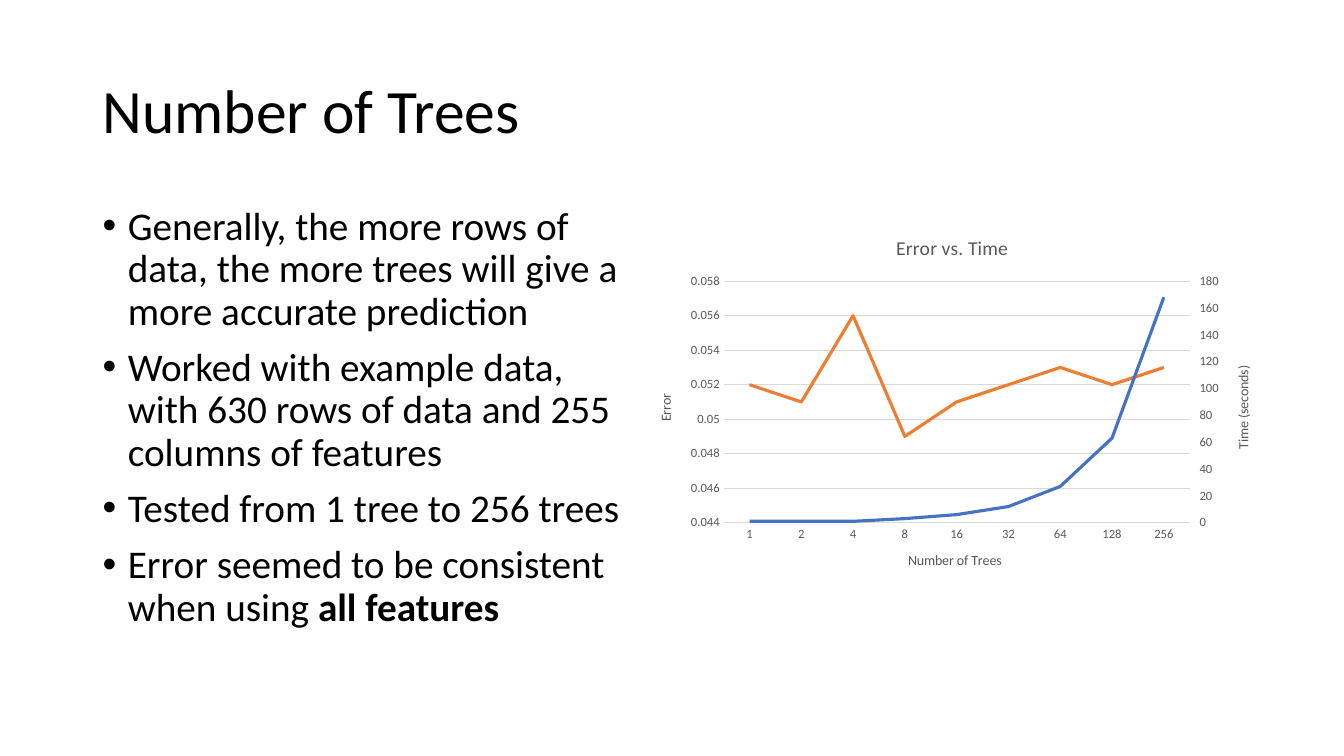
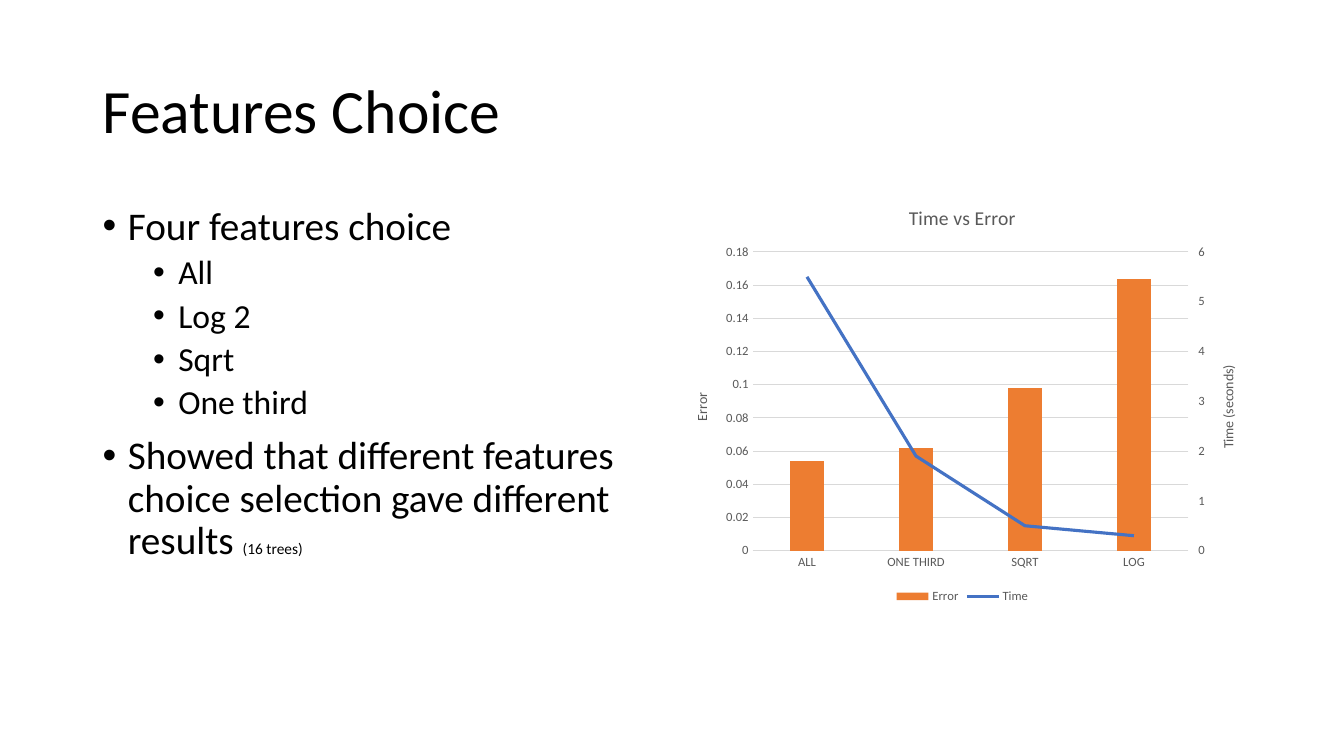
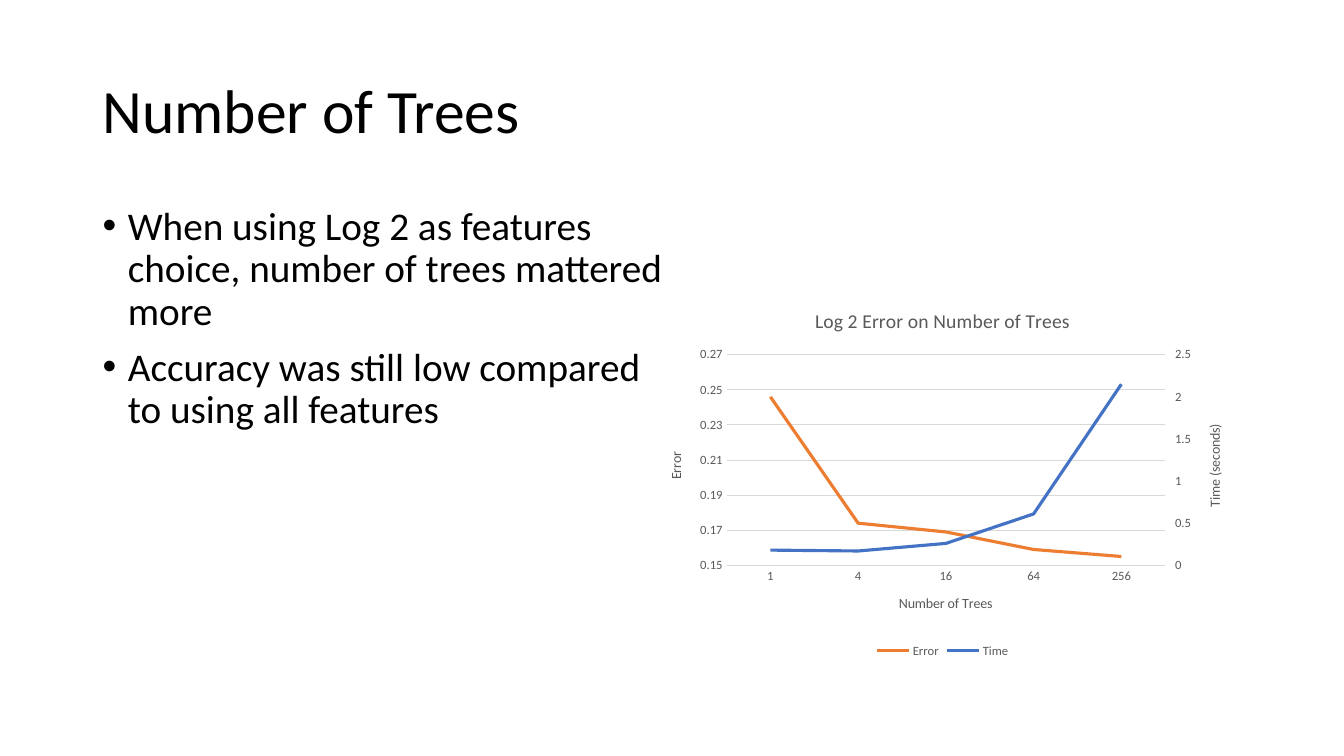
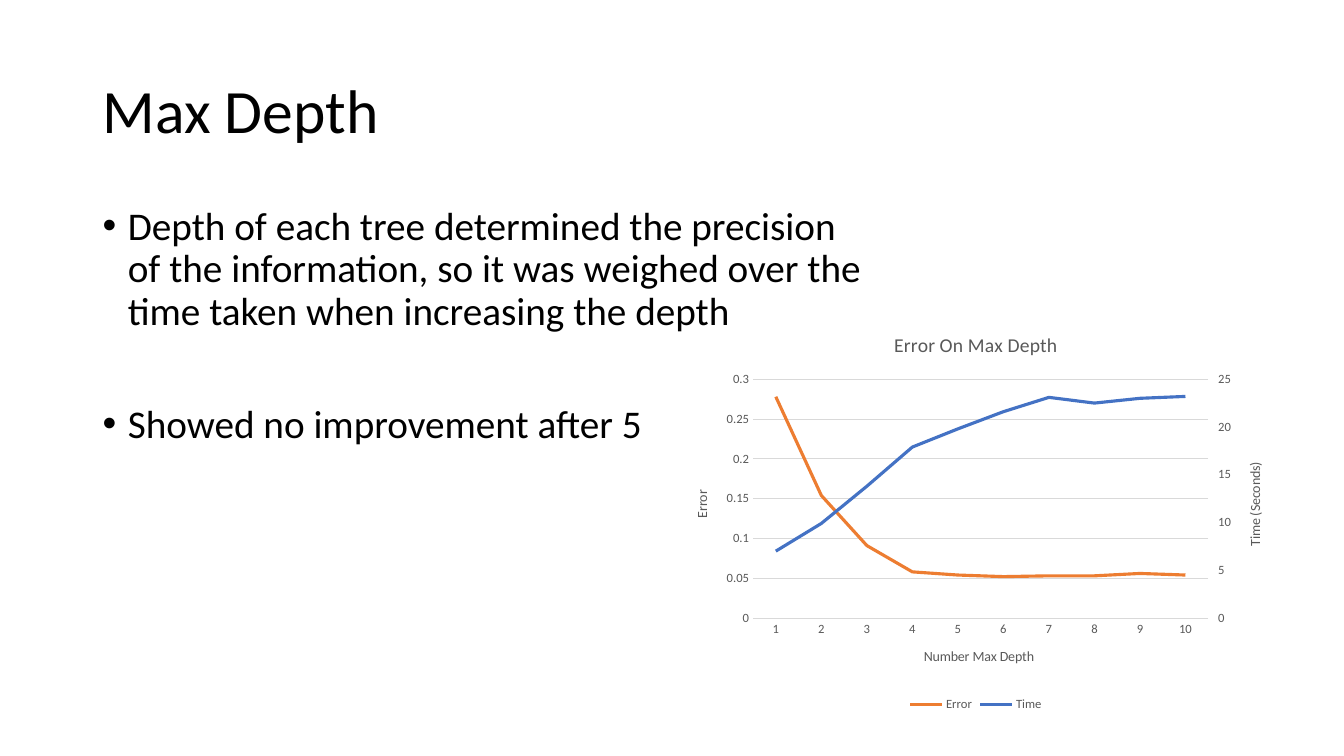
from pptx import Presentation
from pptx.chart.axis import ValueAxis
from pptx.chart.data import CategoryChartData
from pptx.dml.color import RGBColor
from pptx.enum.chart import XL_CHART_TYPE, XL_LEGEND_POSITION, XL_MARKER_STYLE, XL_TICK_MARK
from pptx.enum.text import MSO_ANCHOR
from pptx.oxml import parse_xml
from pptx.oxml.ns import nsdecls, qn
from pptx.util import Inches, Pt

FACE = "Calibri"
BLACK, GRAY, PALE = "000000", "595959", "D9D9D9"
ORANGE, BLUE = "ED7D31", "4472C4"
HEAD = (0.92, 0.4, 11.5, 1.45)
LINE, COLUMN = XL_CHART_TYPE.LINE, XL_CHART_TYPE.COLUMN_CLUSTERED


def paint(code):
    """Turn a hex string into a colour."""
    return RGBColor.from_string(code)


def style(font, size, color=GRAY):
    """Set the shared face with a size and colour."""
    font.name, font.size, font.bold = FACE, Pt(size), False
    font.color.rgb = paint(color)


def frame(slide, box):
    """Add a wrapping text box and return its frame."""
    text = slide.shapes.add_textbox(*map(Inches, box)).text_frame
    text.word_wrap = True
    return text


def title(slide, words):
    """Write the slide title."""
    text = frame(slide, HEAD)
    text.text = words
    text.vertical_anchor = MSO_ANCHOR.MIDDLE
    para = text.paragraphs[0]
    para.line_spacing = 0.9
    style(para.runs[0].font, 44, BLACK)


def bullet(para, words, level=0, gap=10):
    """Write one bullet at its level."""
    para.text, para.level = words, level
    para.line_spacing, para.space_before = 0.9, Pt(gap)
    props = para._p.get_or_add_pPr()
    props.set("marL", str(Inches(0.25 + 0.5 * level)))
    props.set("indent", str(Inches(-0.25)))
    props.append(parse_xml(f'<a:buFont {nsdecls("a")} typeface="Arial"/>'))
    props.append(parse_xml(f'<a:buChar {nsdecls("a")} char="\u2022"/>'))
    style(para.runs[0].font, 28 - 4 * level, BLACK)


def body(slide, width, items):
    """List the bullets under the title and return the last one."""
    text = frame(slide, (0.92, 2, width, 4.76))
    for i, item in enumerate(items):
        para = text.add_paragraph() if i else text.paragraphs[0]
        bullet(para, *item)
    return para


def tail(para, words, size, bold=False):
    """End a bullet with a run of its own size and weight."""
    run = para.add_run()
    run.text = words
    style(run.font, size, BLACK)
    run.font.bold = bold


def label(holder, words, size):
    """Write the title of a chart or an axis."""
    text = holder.text_frame
    text.text = words
    style(text.paragraphs[0].runs[0].font, size)


def split(chart):
    """Move the second series to a line plot on a right axis."""
    area = chart.element.find(".//" + qn("c:plotArea"))
    ser = area.findall(".//" + qn("c:ser"))[1]
    for flag in ser.findall(qn("c:invertIfNegative")):
        ser.remove(flag)
    plot = parse_xml(
        f'<c:lineChart {nsdecls("c")}><c:grouping val="standard"/>'
        '<c:varyColors val="0"/><c:marker val="1"/>'
        '<c:axId val="501"/><c:axId val="502"/></c:lineChart>')
    plot.insert(2, ser)
    area.find(qn("c:catAx")).addprevious(plot)
    left = area.find(qn("c:valAx"))
    ends = (("valAx", 502, 501, 0, "r", "max"), ("catAx", 501, 502, 1, "b", "autoZero"))
    for tag, own, other, gone, side, cross in reversed(ends):
        left.addnext(parse_xml(
            f'<c:{tag} {nsdecls("c")}><c:axId val="{own}"/>'
            '<c:scaling><c:orientation val="minMax"/></c:scaling>'
            f'<c:delete val="{gone}"/><c:axPos val="{side}"/>'
            '<c:numFmt formatCode="General" sourceLinked="0"/>'
            '<c:majorTickMark val="out"/><c:minorTickMark val="none"/>'
            '<c:tickLblPos val="nextTo"/>'
            f'<c:crossAx val="{other}"/><c:crosses val="{cross}"/></c:{tag}>'))
    return area.findall(qn("c:valAx"))


def scale(part, words, low, high, step):
    """Style a value axis with its upright title and range."""
    axis = ValueAxis(part)
    axis.minimum_scale, axis.maximum_scale, axis.major_unit = low, high, step
    axis.format.line.fill.background()
    style(axis.tick_labels.font, 9)
    label(axis.axis_title, words, 10)
    turn = part.find(".//" + qn("a:bodyPr"))
    turn.set("rot", "-5400000")
    turn.set("vert", "horz")
    return axis


def graph(slide, box, head, cats, left, right, base=None, kind=LINE,
          names=("Error", "Time"), unit="Time (seconds)", legend=True):
    """Plot error on the left axis and time on the right."""
    data = CategoryChartData()
    data.categories = cats
    for name, (vals, _) in zip(names, (left, right)):
        data.add_series(name, vals)
    chart = slide.shapes.add_chart(kind, *map(Inches, box), data).chart
    style(chart.font, 10, BLACK)
    label(chart.chart_title, head, 14)
    chart.chart_title.include_in_layout = False
    near, far = split(chart)
    axis = scale(near, "Error", *left[1])
    axis.major_tick_mark = XL_TICK_MARK.NONE
    grid = axis.major_gridlines.format.line
    scale(far, unit, *right[1])
    foot = chart.category_axis
    foot.major_tick_mark = XL_TICK_MARK.NONE
    style(foot.tick_labels.font, 9)
    if base:
        label(foot.axis_title, base, 10)
    for line in (grid, foot.format.line):
        line.color.rgb, line.width = paint(PALE), Pt(0.75)
    for plot, color in zip(chart.plots, (ORANGE, BLUE)):
        plot.vary_by_categories = False
        ser = plot.series[0]
        if kind == COLUMN and color == ORANGE:
            plot.gap_width = 219
            ser.format.fill.solid()
            ser.format.fill.fore_color.rgb = paint(color)
        else:
            ser.smooth = False
            ser.marker.style = XL_MARKER_STYLE.NONE
            ser.format.line.color.rgb = paint(color)
            ser.format.line.width = Pt(2.25)
    chart.has_legend = legend
    if legend:
        chart.legend.position = XL_LEGEND_POSITION.BOTTOM
        chart.legend.include_in_layout = False
        style(chart.legend.font, 9)


def trees(slide):
    """Show the effect of the number of trees."""
    title(slide, "Number of Trees")
    last = body(slide, 5.4, [
        ("Generally, the more rows of data, the more trees will give a more accurate prediction",),
        ("Worked with example data, with 630 rows of data and 255 columns of features",),
        ("Tested from 1 tree to 256 trees",),
        ("Error seemed to be consistent when using ",)])
    tail(last, "all features", 28, True)
    graph(slide, (6.31, 2.16, 6.27, 3.69), "Error vs. Time",
          [str(2 ** n) for n in range(9)],
          ((0.052, 0.051, 0.056, 0.049, 0.051, 0.052, 0.053, 0.052, 0.053),
           (0.044, 0.058, 0.002)),
          ((1, 1, 1, 3, 6, 12, 27, 63, 168), (0, 180, 20)),
          "Number of Trees", names=("Series 1", "Series 2"), legend=False)


def choice(slide):
    """Compare the four feature choices."""
    title(slide, "Features Choice")
    subs = [(name, 1, 5) for name in ("All", "Log 2", "Sqrt", "One third")]
    last = body(slide, 5.75, [
        ("Four features choice",), *subs,
        ("Showed that different features choice selection gave different results ",)])
    tail(last, "(16 trees)", 11)
    graph(slide, (6.67, 1.85, 5.75, 4.18), "Time vs Error",
          ("ALL", "ONE THIRD", "SQRT", "LOG"),
          ((0.054, 0.062, 0.098, 0.164), (0, 0.18, 0.02)),
          ((5.5, 1.9, 0.5, 0.3), (0, 6, 1)), kind=COLUMN)


def logs(slide):
    """Show the number of trees under the Log 2 choice."""
    title(slide, "Number of Trees")
    body(slide, 5.75, [
        ("When using Log 2 as features choice, number of trees mattered more",),
        ("Accuracy was still low compared to using all features",)])
    graph(slide, (6.41, 2.89, 5.88, 3.68), "Log 2 Error on Number of Trees",
          [str(4 ** n) for n in range(5)],
          ((0.246, 0.174, 0.169, 0.159, 0.155), (0.15, 0.27, 0.02)),
          ((0.18, 0.17, 0.26, 0.61, 2.15), (0, 2.5, 0.5)), "Number of Trees")


def depth(slide):
    """Show the effect of the maximum depth."""
    title(slide, "Max Depth")
    body(slide, 7.84, [
        ("Depth of each tree determined the precision of the information, "
         "so it was weighed over the time taken when increasing the depth",),
        ("Showed no improvement after 5", 0, 50.7)])
    graph(slide, (6.67, 3.12, 6.02, 3.98), "Error On Max Depth",
          [str(n) for n in range(1, 11)],
          ((0.278, 0.154, 0.091, 0.058, 0.054, 0.052, 0.053, 0.053, 0.056, 0.054),
           (0, 0.3, 0.05)),
          ((7, 9.9, 13.8, 17.9, 19.8, 21.6, 23.1, 22.5, 23, 23.2), (0, 25, 5)),
          "Number Max Depth", unit="Time (Seconds)")


deck = Presentation()
deck.slide_width, deck.slide_height = Inches(13.33), Inches(7.5)
for build in (trees, choice, logs, depth):
    build(deck.slides.add_slide(deck.slide_layouts[6]))
deck.save("out.pptx")
